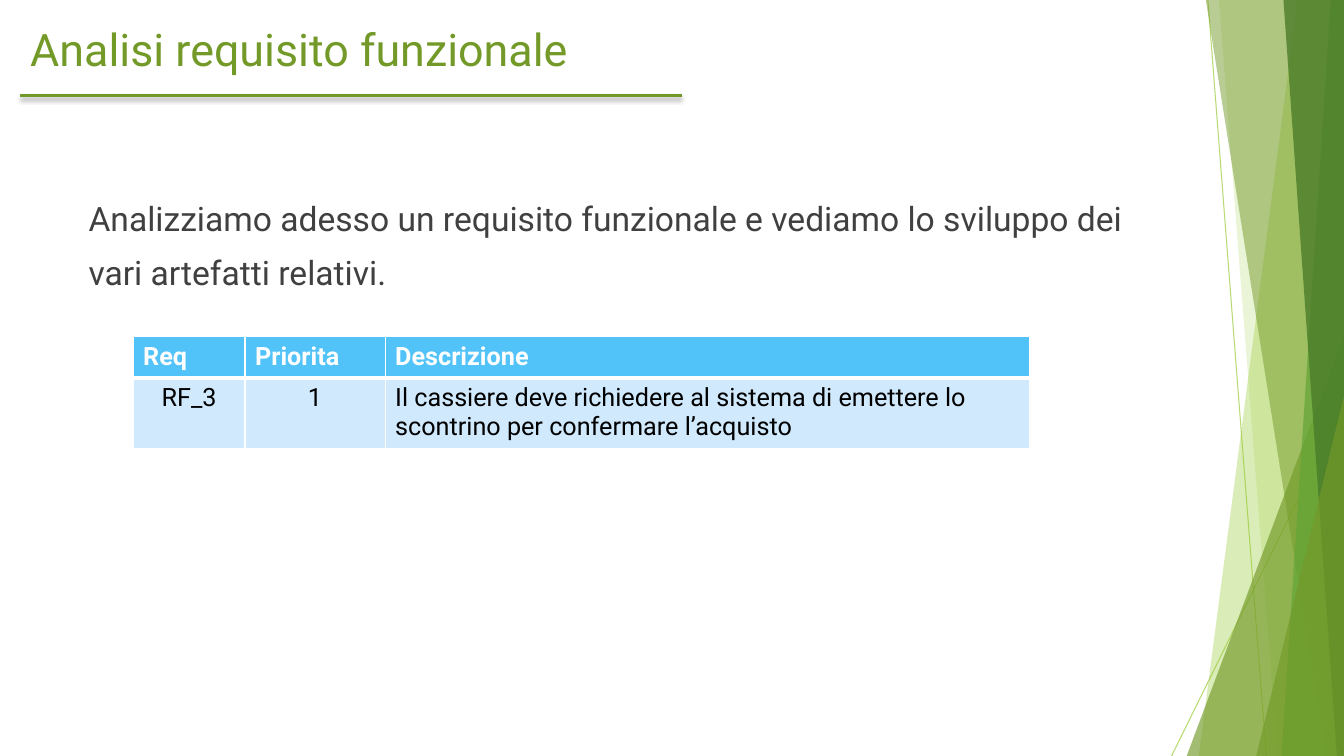
import pptx
import pptx.dml.color
import pptx.enum.shapes
import pptx.enum.text
import pptx.oxml
import pptx.oxml.ns
import pptx.util
from lxml import etree

Inches = pptx.util.Inches
Pt = pptx.util.Pt
WIDTH, HEIGHT = 13.33, 7.5
GREEN, LIME = "739A28", "99CB38"
NAMESPACE = pptx.oxml.ns.nsdecls("a")


def color(hex_string):
    return pptx.dml.color.RGBColor.from_string(hex_string)


def add_text(paragraph, text, size, hex_string, bold=False):
    span = paragraph.add_run()
    span.text = text
    span.font.name = "Roboto"
    span.font.size = Pt(size)
    span.font.bold = bold
    span.font.color.rgb = color(hex_string)


deck = pptx.Presentation()
deck.slide_width = Inches(WIDTH)
deck.slide_height = Inches(HEIGHT)
page = deck.slides.add_slide(deck.slide_layouts[5])
shapes = page.shapes

# Thin lines: start x, start y, end x, end y, colour, width, opacity %
lines = [
    (11.98, 0, 12.56, HEIGHT, LIME, 0.75, 70),
    (WIDTH, 4.03, 11.62, HEIGHT, LIME, 0.75, 70),
    (0.2, 0.95, 6.76, 0.95, GREEN, 2, 100),
]
for x1, y1, x2, y2, hex_string, width, opacity in lines:
    line = shapes.add_connector(
        pptx.enum.shapes.MSO_CONNECTOR.STRAIGHT,
        Inches(x1), Inches(y1), Inches(x2), Inches(y2))
    line.line.color.rgb = color(hex_string)
    line.line.width = Pt(width)
    line_color = line.line.fill._xPr.find(".//" + pptx.oxml.ns.qn("a:srgbClr"))
    etree.SubElement(line_color, pptx.oxml.ns.qn("a:alpha"), val=str(opacity * 1000))
    effects = etree.SubElement(line._element.spPr, pptx.oxml.ns.qn("a:effectLst"))

# The last line underlines the title and casts a soft shadow
effects.append(pptx.oxml.parse_xml(
    f'<a:outerShdw {NAMESPACE} blurRad="{Pt(3)}" dist="{Pt(2)}" dir="5400000" rotWithShape="0">'
    '<a:srgbClr val="000000"><a:alpha val="35000"/></a:srgbClr></a:outerShdw>'))

# Facets reach the right edge: kind, top (x or y), bottom x, colour, opacity %
facets = [
    ("band", 12.87, 11.89, LIME, 36),
    ("band", 12.09, 12.67, LIME, 20),
    ("triangle", 3.33, 11.77, GREEN, 66),
    ("band", 11.96, 13.15, GREEN, 50),
    ("band", 13.2, 12.71, "63A537", 70),
    ("band", 12.73, 13.26, "4A7C29", 80),
    ("triangle", 3.93, 12.46, GREEN, 66),
]
for kind, top, bottom_x, hex_string, opacity in facets:
    if kind == "band":
        outline = shapes.build_freeform(Inches(top), 0)
        corners = [(WIDTH, 0), (WIDTH, HEIGHT), (bottom_x, HEIGHT)]
        outline.add_line_segments([(Inches(x), Inches(y)) for x, y in corners])
        facet = outline.convert_to_shape()
    else:
        facet = shapes.add_shape(
            pptx.enum.shapes.MSO_SHAPE.ISOSCELES_TRIANGLE,
            Inches(bottom_x), Inches(top), Inches(WIDTH - bottom_x), Inches(HEIGHT - top))
        facet.adjustments[0] = 1
    facet.shadow.inherit = False
    facet.line.fill.background()
    facet.fill.solid()
    facet.fill.fore_color.rgb = color(hex_string)
    fill_color = facet._element.spPr.find(".//" + pptx.oxml.ns.qn("a:srgbClr"))
    etree.SubElement(fill_color, pptx.oxml.ns.qn("a:alpha"), val=str(opacity * 1000))

title = shapes.title
body = shapes.add_textbox(Inches(0.78), Inches(1.79), Inches(10.54), Inches(3.85))
title.left, title.top, title.width, title.height = map(Inches, (0.2, 0.17, 7.55, 0.84))
texts = [
    (title, "Analisi requisito funzionale", 32, GREEN, 1),
    (body, "Analizziamo adesso un requisito funzionale e vediamo lo sviluppo dei "
           "vari artefatti relativi.", 24, "404040", 1.32),
]
for box, text, size, hex_string, spacing in texts:
    frame = box.text_frame
    frame.word_wrap = True
    frame.auto_size = pptx.enum.text.MSO_AUTO_SIZE.NONE
    frame.vertical_anchor = pptx.enum.text.MSO_ANCHOR.TOP
    paragraph = frame.paragraphs[0]
    paragraph.alignment = pptx.enum.text.PP_ALIGN.LEFT
    paragraph.line_spacing = spacing
    add_text(paragraph, text, size, hex_string)

rows = [
    ("Req", "Priorita", "Descrizione"),
    ("RF_3", "1", "Il cassiere deve richiedere al sistema di emettere lo "
                  "scontrino per confermare l’acquisto"),
]
column_widths = [1.11, 1.39, 6.39]
row_heights = [0.41, 0.7]
table = shapes.add_table(
    len(rows), len(column_widths), Inches(1.32), Inches(3.34),
    Inches(sum(column_widths)), Inches(sum(row_heights))).table
for column, width in zip(table.columns, column_widths):
    column.width = Inches(width)
for row, height in zip(table.rows, row_heights):
    row.height = Inches(height)

for row_index, row in enumerate(rows):
    header = row_index == 0
    for column_index, text in enumerate(row):
        cell = table.cell(row_index, column_index)
        paragraph = cell.text_frame.paragraphs[0]
        if not header and column_index < 2:
            paragraph.alignment = pptx.enum.text.PP_ALIGN.CENTER
        add_text(paragraph, text, 18, "FFFFFF" if header else "000000", header)
        properties = cell._tc.get_or_add_tcPr()
        for side in ("L", "R", "T", "B"):
            # The rule between header and body is shared by both rows
            thick = side == ("B" if header else "T")
            properties.append(pptx.oxml.parse_xml(
                f'<a:ln{side} {NAMESPACE} w="{Pt(3 if thick else 1)}"><a:solidFill>'
                f'<a:srgbClr val="FFFFFF"/></a:solidFill></a:ln{side}>'))
        cell.fill.solid()
        cell.fill.fore_color.rgb = color("51C3F9" if header else "D0E9FD")

deck.save("out.pptx")
